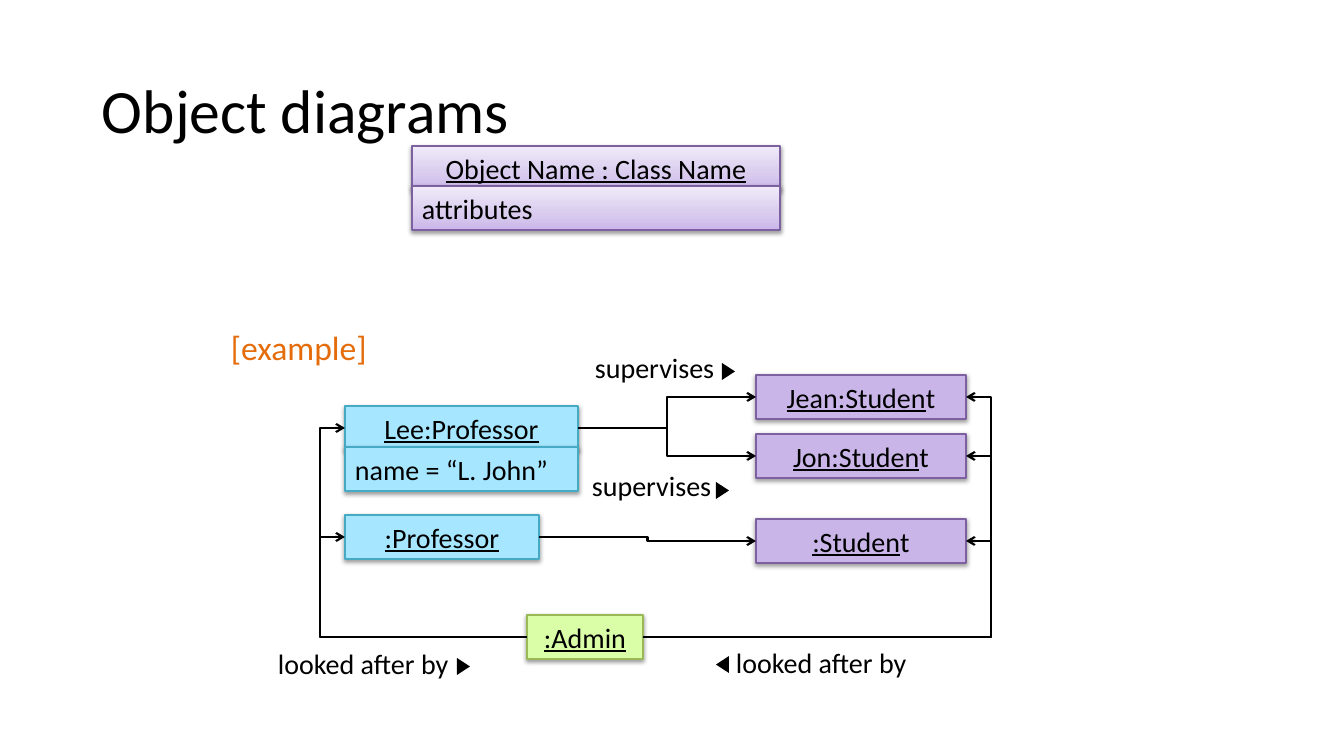
import lxml.etree
import pptx
import pptx.dml.color
import pptx.enum.shapes
import pptx.enum.text
import pptx.oxml.ns
import pptx.util

PX = 914400 / 100.8
FONT = "Calibri"
COLORS = {
    "ink": "000000", "accent": "E46C0A",
    "professor": "A7E6FF", "professor_line": "46AAC5",
    "student": "C9B5E8", "student_line": "7D60A0",
    "admin": "DAFDA7", "admin_line": "98B955",
    "fade_mid": "D8CBEE", "fade_end": "F0EAF9",
}
SHAPE = pptx.enum.shapes.MSO_SHAPE
CENTER = pptx.enum.text.PP_ALIGN.CENTER
LEFT = pptx.enum.text.PP_ALIGN.LEFT
LEFT_SITE, RIGHT_SITE = 1, 3
BOX_H = 44


def px(length):
    return pptx.util.Emu(round(length * PX))


def rgb(key):
    return pptx.dml.color.RGBColor.from_string(COLORS[key])


def add_xml(parent, tag, **attributes):
    return lxml.etree.SubElement(parent, pptx.oxml.ns.qn(tag), attributes)


def find_xml(parent, tag):
    return parent.find(".//" + pptx.oxml.ns.qn(tag))


def write(shape, runs, size=20, color="ink", align=LEFT, middle=True):
    """Fill a shape with (text, underlined) runs."""
    frame = shape.text_frame
    frame.word_wrap = True
    anchor = pptx.enum.text.MSO_ANCHOR
    frame.vertical_anchor = anchor.MIDDLE if middle else anchor.TOP
    paragraph = frame.paragraphs[0]
    paragraph.alignment = align
    for text, underlined in runs:
        run = paragraph.add_run()
        run.text = text
        run.font.name = FONT
        run.font.size = pptx.util.Pt(size)
        run.font.underline = underlined
        run.font.color.rgb = rgb(color)
    return paragraph


def label(slide, box, text, **style):
    area = slide.shapes.add_textbox(*map(px, box))
    return write(area, [(text, False)], **style)


def fade(shape):
    """Purple at the bottom, nearly white at the top."""
    shape.fill.gradient()
    shape.fill.gradient_angle = 90
    stops = find_xml(shape.element, "a:gsLst")
    for stop in list(stops):
        stops.remove(stop)
    for position, key in ((0, "student"), (35000, "fade_mid"), (100000, "fade_end")):
        stop = add_xml(stops, "a:gs", pos=str(position))
        add_xml(stop, "a:srgbClr", val=COLORS[key])


def compartment(slide, box, kind, runs, align=CENTER, faded=False):
    shape = slide.shapes.add_shape(SHAPE.RECTANGLE, *map(px, box))
    if faded:
        fade(shape)
    else:
        shape.fill.solid()
        shape.fill.fore_color.rgb = rgb(kind)
    shape.line.color.rgb = rgb(kind + "_line")
    shape.line.width = pptx.util.Pt(1.5)
    shape.shadow.inherit = False
    shadow = add_xml(find_xml(shape.element, "a:effectLst"), "a:outerShdw",
                     blurRad="40000", dist="20000", dir="5400000", rotWithShape="0")
    shade = add_xml(shadow, "a:srgbClr", val=COLORS["ink"])
    add_xml(shade, "a:alpha", val="38000")
    write(shape, runs, align=align)
    return shape


def link(slide, source, source_site, target, target_site, bend=None):
    """Elbow arrow between two objects; bend is the x of its upright part."""
    arrow = slide.shapes.add_connector(
        pptx.enum.shapes.MSO_CONNECTOR.ELBOW, 0, 0, 0, 0)
    arrow.begin_connect(source, source_site)
    arrow.end_connect(target, target_site)
    arrow.line.color.rgb = rgb("ink")
    arrow.line.width = pptx.util.Pt(1.5)
    add_xml(find_xml(arrow.element, "a:ln"), "a:tailEnd", type="arrow")
    add_xml(arrow.element.spPr, "a:effectLst")
    if bend is not None:
        share = (px(bend) - arrow.begin_x) / (arrow.end_x - arrow.begin_x)
        add_xml(find_xml(arrow.element, "a:avLst"), "a:gd",
                name="adj1", fmla=f"val {round(share * 100000)}")


def reading_mark(slide, left, top, rotation=90):
    mark = slide.shapes.add_shape(
        SHAPE.ISOSCELES_TRIANGLE, px(left), px(top), px(17), px(13))
    mark.rotation = rotation
    mark.fill.solid()
    mark.fill.fore_color.rgb = rgb("ink")
    mark.line.fill.background()
    mark.shadow.inherit = False


def notation(slide, left, top, width):
    compartment(slide, (left, top, width, BOX_H), "student",
                [("Object Name : Class Name", True)], faded=True)
    compartment(slide, (left, top + 40, width, BOX_H), "student",
                [("attributes", False)], align=LEFT, faded=True)


def example(slide, left, top, width):
    # Objects
    professor_x, student_x = left + 25, left + width - 235
    lee = compartment(slide, (professor_x, top + 31, 233, BOX_H), "professor",
                      [("Lee:Professor", True)])
    compartment(slide, (professor_x, top + 72, 233, BOX_H), "professor",
                [("name = “L. John”", False)], align=LEFT)
    professor = compartment(slide, (professor_x, top + 140, 194, BOX_H),
                            "professor", [(":Professor", True)])
    jean, jon, student = [
        compartment(slide, (student_x, top + offset, 210, BOX_H), "student",
                    [(name + ":Studen", True), ("t", False)])
        for name, offset in (("Jean", 0), ("Jon", 59), ("", 144))]
    admin = compartment(slide, (left + 207, top + 240, 116, BOX_H), "admin",
                        [(":Admin", True)])

    # Links
    for teacher, learner in ((lee, jean), (lee, jon), (professor, student)):
        link(slide, teacher, RIGHT_SITE, learner, LEFT_SITE)
    for teacher in (lee, professor):
        link(slide, admin, LEFT_SITE, teacher, LEFT_SITE, bend=left)
    for learner in (jean, jon, student):
        link(slide, admin, RIGHT_SITE, learner, RIGHT_SITE, bend=left + width)

    # Link names and their reading direction
    for text, x, y, w in (("supervises", 262, 89, 165),
                          ("supervises", 265, -29, 165),
                          ("looked after by", 406, 266, 195),
                          ("looked after by", -52, 267, 240)):
        label(slide, (left + x, top + y, w, BOX_H), text, middle=False)
    for x, y, rotation in ((400, -10, 90), (394, 109, 90),
                           (135, 285, 90), (394, 283, 270)):
        reading_mark(slide, left + x, top + y, rotation)


def main():
    deck = pptx.Presentation()
    deck.slide_width, deck.slide_height = px(1344), px(756)
    slide = deck.slides.add_slide(deck.slide_layouts[6])
    title = label(slide, (92, 41, 1159, 146), "Object diagrams", size=44)
    title.line_spacing = 0.9
    notation(slide, 412, 146, 368)
    label(slide, (221, 303, 907, 88), "[example]", size=24, color="accent")
    example(slide, 320, 375, 671)
    deck.save("out.pptx")


if __name__ == "__main__":
    main()
